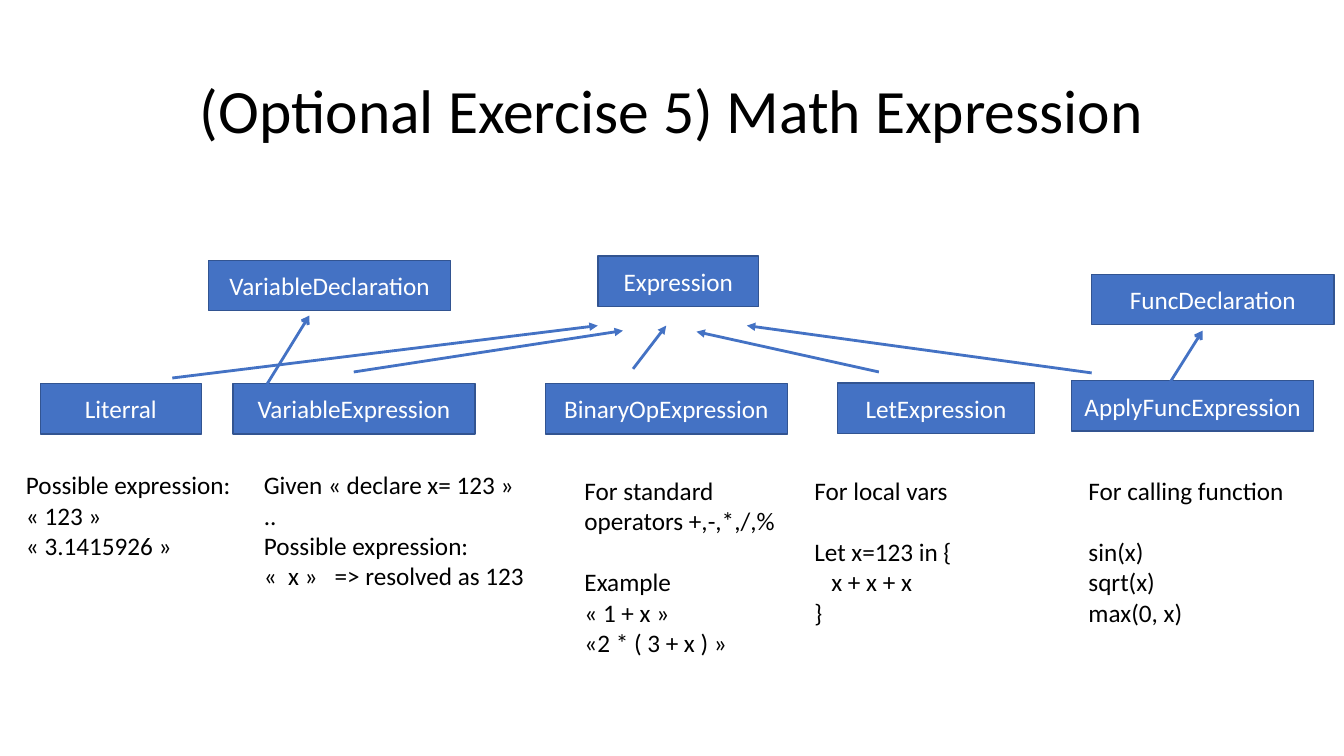
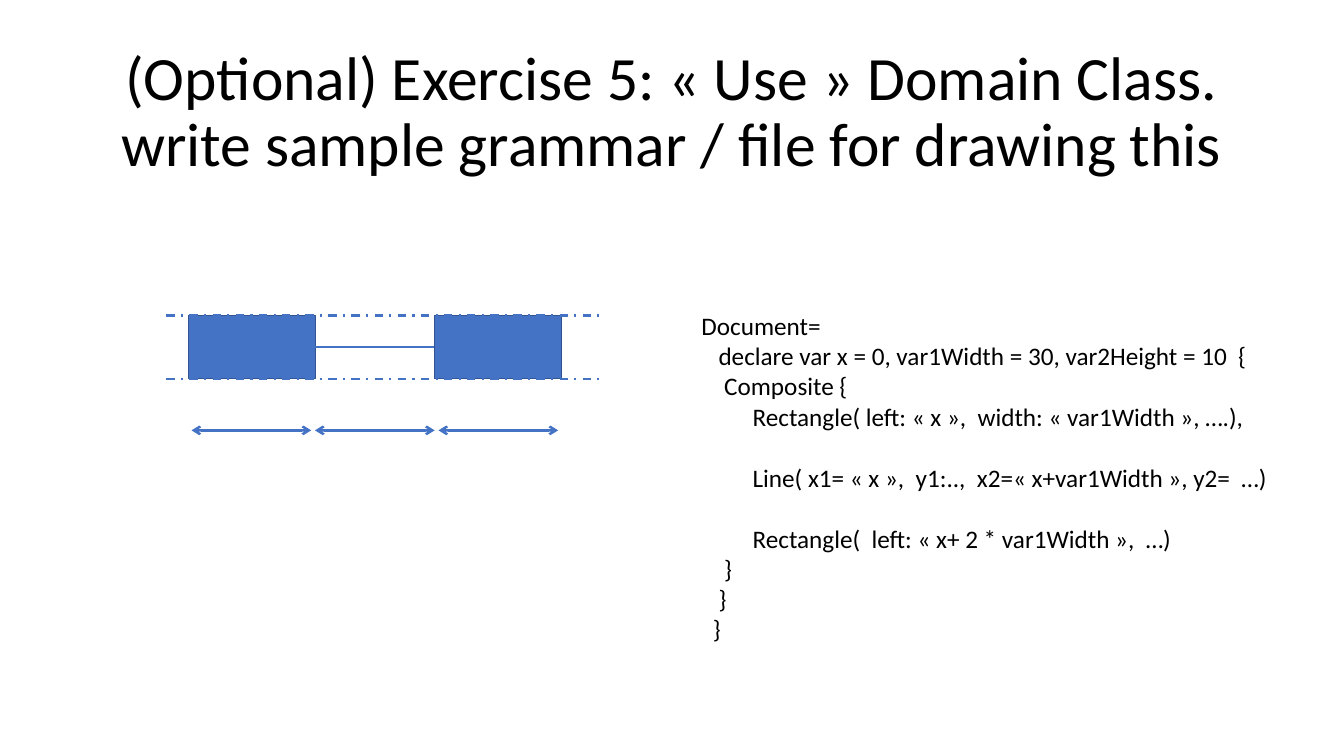
from lxml.etree import SubElement
from pptx import Presentation
from pptx.dml.color import RGBColor
from pptx.enum.dml import MSO_LINE_DASH_STYLE as Dash
from pptx.enum.shapes import MSO_CONNECTOR as Connector, MSO_SHAPE as Shape
from pptx.enum.text import MSO_ANCHOR as Anchor, MSO_AUTO_SIZE as AutoSize, PP_ALIGN as Align
from pptx.oxml.ns import qn
from pptx.util import Pt

BLUE = RGBColor(0x44, 0x72, 0xC4)
DARK_BLUE = RGBColor(0x32, 0x54, 0x91)
BLACK = RGBColor(0, 0, 0)
WHITE = RGBColor(255, 255, 255)
FONT = "Calibri"
BODY_SIZE = 18
BLANK_LINE = 22
TITLE_ONLY = 5

CLASS_HEIGHT = 36
CLASSES = [
    ("Expression", 415.5, 0, 115),
    ("VariableDeclaration", 137.5, 3, 173),
    ("FuncDeclaration", 768.3, 13, 173),
    ("Literral", 17.3, 91, 115),
    ("VariableExpression", 154.8, 91, 173),
    ("BinaryOpExpression", 378, 91, 173),
    ("LetExpression", 586.8, 90.5, 140.5),
    ("ApplyFuncExpression", 753.9, 89, 173),
]
INHERITANCE = [
    (111.6, 87, 415.5, 49.6),
    (241.2, 82.7, 433.5, 53.2),
    (440.7, 80.5, 464.4, 49.6),
    (616.3, 82.7, 486, 53.9),
    (768.3, 83.4, 522, 49.6),
]
REFERENCES = [(179.3, 91.3, 209.5, 42.4), (817.2, 101.4, 847.5, 53.2)]
CLASS_NOTES = [
    (0, 149, 204.5, 73, """Possible expression:
« 123 »
« 3.1415926 »"""),
    (169.9, 149, 204.5, 94, """Given « declare x= 123 »
..
Possible expression:
«  x »   => resolved as 123"""),
    (398.9, 153, 159, 160, """For standard operators +,-,*,/,%

Example
« 1 + x »
«2 * ( 3 + x ) »"""),
    (563.1, 153, 191.5, 117, """For local vars

Let x=123 in {
   x + x + x
}"""),
    (758.9, 153, 191.5, 138, """For calling function

sin(x)
sqrt(x)
max(0, x)"""),
]
GRAMMAR = """Document=
   declare var x = 0, var1Width = 30, var2Height = 10  {
    Composite {
         Rectangle( left: « x »,  width: « var1Width », ….),

         Line( x1= « x »,  y1:..,  x2=« x+var1Width », y2=  …)

         Rectangle(  left: « x+ 2 * var1Width »,  …)
    }
   }
  }"""


def set_font(paragraph, size, color):
    for run in paragraph.runs:
        run.font.name = FONT
        run.font.size = Pt(size)
        run.font.color.rgb = color


def add_titled_slide(deck, heading):
    slide = deck.slides.add_slide(deck.slide_layouts[TITLE_ONLY])
    title = slide.shapes.title
    title.left, title.top, title.width, title.height = Pt(66), Pt(29), Pt(828), Pt(104)
    frame = title.text_frame
    frame.auto_size = AutoSize.NONE
    frame.vertical_anchor = Anchor.MIDDLE
    paragraph = frame.paragraphs[0]
    paragraph.text = heading
    paragraph.alignment = Align.CENTER
    paragraph.line_spacing = 0.9
    set_font(paragraph, 44, BLACK)
    return slide


def add_box(slide, left, top, width, height, label=""):
    box = slide.shapes.add_shape(Shape.RECTANGLE, Pt(left), Pt(top), Pt(width), Pt(height))
    box.shadow.inherit = False
    box.fill.solid()
    box.fill.fore_color.rgb = BLUE
    box.line.color.rgb = DARK_BLUE
    box.line.width = Pt(1)
    if label:
        frame = box.text_frame
        frame.text = label
        frame.vertical_anchor = Anchor.MIDDLE
        frame.paragraphs[0].alignment = Align.CENTER
        set_font(frame.paragraphs[0], BODY_SIZE, WHITE)
    return box


def add_line(slide, x1, y1, x2, y2, weight, head=None, tail=None, dash=None):
    line = slide.shapes.add_connector(Connector.STRAIGHT, Pt(x1), Pt(y1), Pt(x2), Pt(y2))
    line.line.color.rgb = BLUE
    line.line.width = Pt(weight)
    if dash:
        line.line.dash_style = dash
    properties = line.element.spPr
    outline = properties.find(qn("a:ln"))
    for tag, arrowhead in (("a:headEnd", head), ("a:tailEnd", tail)):
        if arrowhead:
            SubElement(outline, qn(tag), type=arrowhead)
    SubElement(properties, qn("a:effectLst"))
    return line


def add_text(slide, left, top, width, height, text, wrap=True):
    frame = slide.shapes.add_textbox(Pt(left), Pt(top), Pt(width), Pt(height)).text_frame
    frame.word_wrap = wrap
    frame.text = text.replace("\n\n", "\n")
    section_starts = set()
    count = 0
    for section in text.split("\n\n"):
        section_starts.add(count)
        count += len(section.split("\n"))
    for index, paragraph in enumerate(frame.paragraphs):
        if index and index in section_starts:
            paragraph.space_before = Pt(BLANK_LINE)
        set_font(paragraph, BODY_SIZE, BLACK)


def draw_class_diagram(slide, left, top):
    for name, x, y, width in CLASSES:
        add_box(slide, left + x, top + y, width, CLASS_HEIGHT, name)
    for arrows, tip in ((INHERITANCE, "triangle"), (REFERENCES, "arrow")):
        for x1, y1, x2, y2 in arrows:
            add_line(slide, left + x1, top + y1, left + x2, top + y2, 2, tail=tip)
    for x, y, width, height, note in CLASS_NOTES:
        add_text(slide, left + x, top + y, width, height, note)


def draw_sketch(slide, left, top, width, height):
    first, second = [
        add_box(slide, left + x, top, 90.7, height) for x in (15.8, 191.5)
    ]
    middle = top + height / 2
    link = add_line(slide, left + 106.5, middle, left + 191.5, middle, 1.5)
    link.begin_connect(first, 3)
    link.end_connect(second, 1)
    for y in (top, top + height):
        add_line(slide, left, y, left + width, y, 1.5, dash=Dash.DASH_DOT)
    dimension_y = top + 82
    for index in range(3):
        start = left + 18 + index * 88.2
        add_line(slide, start, dimension_y, start + 85.5, dimension_y, 1.75, "arrow", "arrow")


def main():
    deck = Presentation()
    deck.slide_width, deck.slide_height = Pt(960), Pt(540)

    expressions = add_titled_slide(deck, "(Optional Exercise 5) Math Expression")
    draw_class_diagram(expressions, 11.5, 183)

    usage = add_titled_slide(
        deck,
        "(Optional) Exercise 5: « Use » Domain Class.\n"
        "write sample grammar / file for drawing this",
    )
    draw_sketch(usage, 118.8, 225.4, 309, 45)
    add_text(usage, 494, 218, 424, 247, GRAMMAR, wrap=False)

    deck.save("out.pptx")


if __name__ == "__main__":
    main()
